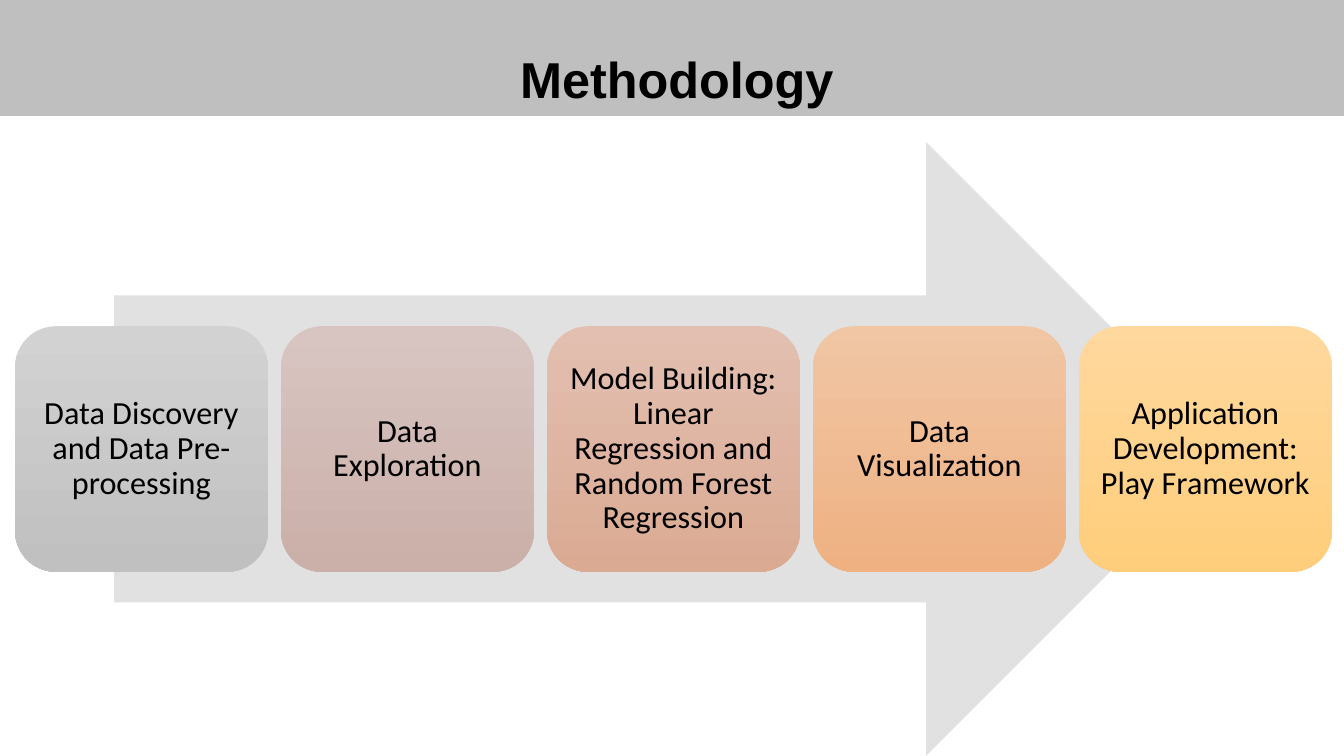
from dataclasses import dataclass

from pptx import Presentation
from pptx.dml.color import RGBColor as Rgb
from pptx.enum.shapes import MSO_SHAPE as Kind
from pptx.enum.text import MSO_ANCHOR as Anchor, PP_ALIGN as Align
from pptx.util import Emu, Pt

WIDE, HIGH = 1344, 756
SCALE = 12192000 / WIDE


@dataclass(frozen=True)
class Theme:
    """Hold the colours, fonts and type sizes."""
    band: str = "BFBFBF"
    arrow: str = "E1E1E1"
    ink: str = "000000"
    head: str = "Arial"
    body: str = "Calibri"
    big: int = 36
    small: int = 23


THEME = Theme()
STEPS = [
    ("Data Discovery and Data Pre-processing", "D2D2D2", "C0C0C0"),
    ("Data Exploration", "D8C5C1", "CBAFA9"),
    ("Model Building: Linear Regression and Random Forest Regression", "E2BFB1", "DBAA93"),
    ("Data Visualization", "F0C6A4", "EFB182"),
    ("Application Development: Play Framework", "FFD89E", "FFCE7C"),
]


def px(num):
    """Turn pixels into EMU."""
    return Emu(round(num * SCALE))


def form(slide, kind, box, *fills):
    """Add a preset shape with a solid or a downward gradient fill."""
    shape = slide.shapes.add_shape(kind, *map(px, box))
    shape.shadow.inherit = False
    shape.line.fill.background()
    if len(fills) == 1:
        shape.fill.solid()
        shape.fill.fore_color.rgb = Rgb.from_string(fills[0])
    else:
        shape.fill.gradient()
        shape.fill.gradient_angle = 270
        for stop, tint in zip(shape.fill.gradient_stops, fills):
            stop.color.rgb = Rgb.from_string(tint)
    return shape


def write(shape, text, font=THEME.body, size=THEME.small, bold=False,
          anchor=Anchor.MIDDLE, inset=(10, 10, 10, 10)):
    """Set centred text in a shape."""
    frame = shape.text_frame
    frame.word_wrap = True
    frame.vertical_anchor = anchor
    (frame.margin_left, frame.margin_top,
     frame.margin_right, frame.margin_bottom) = map(px, inset)
    para = frame.paragraphs[0]
    para.alignment = Align.CENTER
    para.line_spacing = 0.9
    run = para.add_run()
    run.text = text
    run.font.name = font
    run.font.size = Pt(size)
    run.font.bold = bold
    run.font.color.rgb = Rgb.from_string(THEME.ink)


def title(slide, box, text):
    """Draw the title band."""
    band = form(slide, Kind.RECTANGLE, box, THEME.band)
    write(band, text, font=THEME.head, size=THEME.big, bold=True,
          anchor=Anchor.BOTTOM, inset=(10, 0, 0, 7))


def flow(slide, box, steps, gap=13):
    """Draw the wide arrow with a row of step cards across it."""
    left, top, wide, high = box
    side = round(wide * 0.075)
    form(slide, Kind.RIGHT_ARROW, (left + side, top, wide - 2 * side, high), THEME.arrow)
    each = (wide - gap * (len(steps) - 1)) / len(steps)
    tall = high * 0.4
    for num, (text, *fills) in enumerate(steps):
        spot = (left + num * (each + gap), top + (high - tall) / 2, each, tall)
        write(form(slide, Kind.ROUNDED_RECTANGLE, spot, *fills), text)


def main():
    """Build and save the slide."""
    deck = Presentation()
    deck.slide_width, deck.slide_height = px(WIDE), px(HIGH)
    slide = deck.slides.add_slide(deck.slide_layouts[6])
    title(slide, (0, 0, WIDE, 116), "Methodology")
    flow(slide, (15, 142, 1317, 614), STEPS)
    deck.save("out.pptx")


if __name__ == "__main__":
    main()
